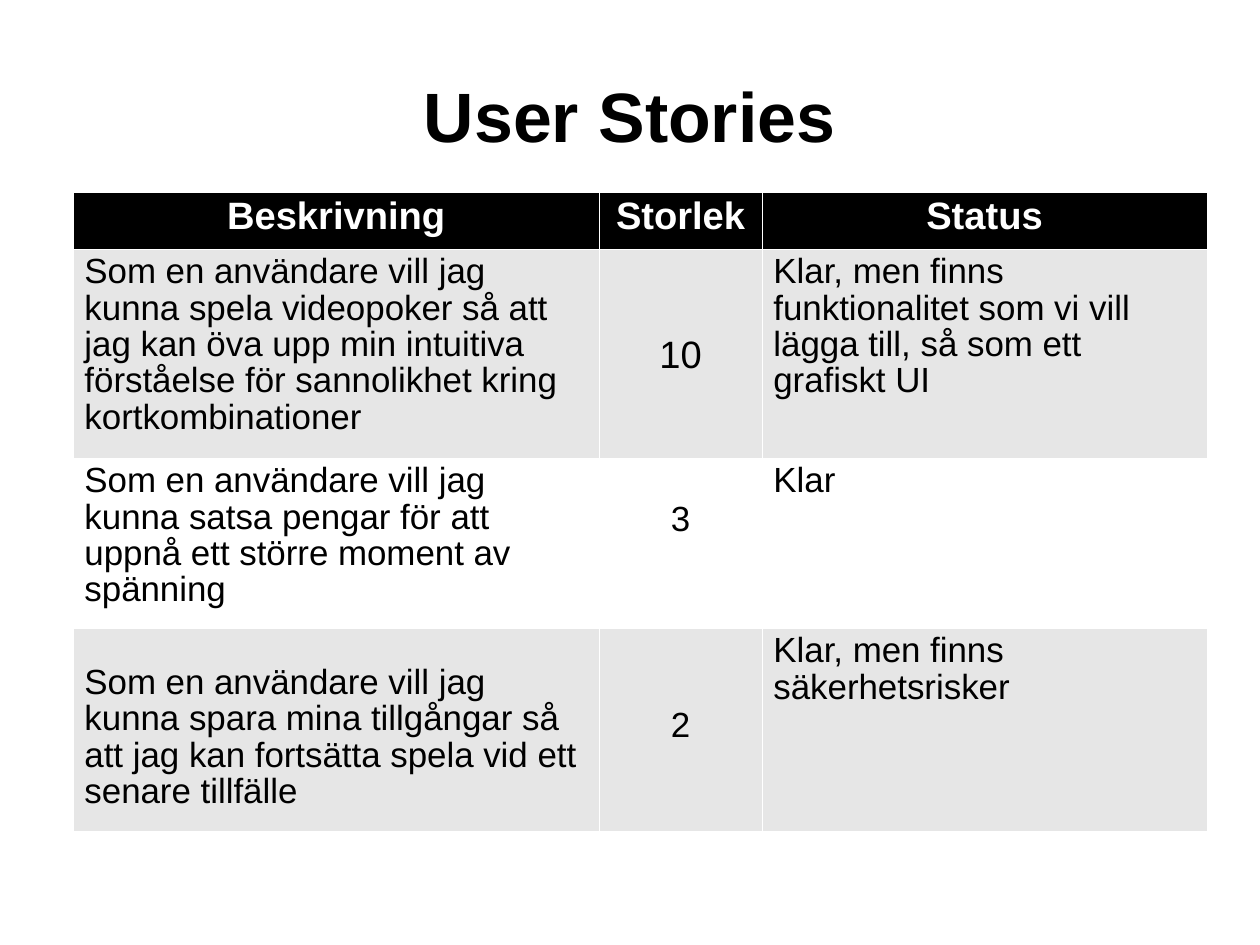
"""Build the User Stories slide with its status table."""
from dataclasses import dataclass

from lxml import etree
from pptx import Presentation
from pptx.dml.color import RGBColor
from pptx.enum.text import MSO_ANCHOR, PP_ALIGN
from pptx.oxml.ns import qn
from pptx.util import Inches, Pt

CENTER, LEFT = PP_ALIGN.CENTER, PP_ALIGN.LEFT
TOP, MIDDLE = MSO_ANCHOR.TOP, MSO_ANCHOR.MIDDLE
PAGE_WIDTH, PAGE_HEIGHT = Pt(793.75), Pt(595.25)
TITLE_ONLY = 5


@dataclass(frozen=True)
class Theme:
    """Colours, type sizes and spacing of the slide."""
    font: str = "Arial"
    black: str = "000000"
    white: str = "FFFFFF"
    band: str = "E6E6E6"
    title_size: int = 44
    header_size: int = 24
    body_size: int = 22
    line_spacing: float = 0.93
    side_inset: float = 7.09
    top_inset: float = 3.6
    border_width: float = 0.06


THEME = Theme()


@dataclass(frozen=True)
class Entry:
    """One table cell: its wording, extra space above in points, and size."""
    text: str
    drop: float = 0
    size: int = THEME.body_size


COLUMN_SHARES = (41.73, 12.95, 35.3)
ROW_SHARES = (6.05, 22.1, 18.01, 21.51)
HEADERS = ("Beskrivning", "Storlek", "Status")
STORIES = (
    (Entry("Som en användare vill jag kunna spela videopoker så att jag kan öva "
           "upp min intuitiva förståelse för sannolikhet kring kortkombinationer"),
     Entry("10", 51.5, THEME.header_size),
     Entry("Klar, men finns funktionalitet som vi vill lägga till, så som ett "
           "grafiskt UI")),
    (Entry("Som en användare vill jag kunna satsa pengar för att uppnå ett större "
           "moment av spänning"),
     Entry("3", 24.5),
     Entry("Klar")),
    (Entry("Som en användare vill jag kunna spara mina tillgångar så att jag kan "
           "fortsätta spela vid ett senare tillfälle", 20),
     Entry("2", 47),
     Entry("Klar, men finns säkerhetsrisker")),
)


def across(share):
    """Return a percentage of the page width."""
    return int(PAGE_WIDTH * share / 100)


def down(share):
    """Return a percentage of the page height."""
    return int(PAGE_HEIGHT * share / 100)


def write(frame, text, size, color, bold, align):
    """Put one formatted paragraph in a text frame."""
    frame.text = text
    para = frame.paragraphs[0]
    para.alignment = align
    para.line_spacing = THEME.line_spacing
    for span in para.runs:
        span.font.name = THEME.font
        span.font.size = Pt(size)
        span.font.bold = bold
        span.font.color.rgb = RGBColor.from_string(color)


def add_title(page, text):
    """Place and format the title placeholder."""
    title = page.shapes.title
    title.left, title.top = across(4.99), down(3.99)
    title.width, title.height = across(90), down(16.69)
    frame = title.text_frame
    frame.word_wrap = True
    frame.vertical_anchor = MIDDLE
    frame.margin_left = frame.margin_right = frame.margin_bottom = 0
    frame.margin_top = Inches(0.04)
    write(frame, text, THEME.title_size, THEME.black, True, CENTER)


def add_borders(cell):
    """Draw hairlines on the four sides of a cell."""
    properties = cell._tc.get_or_add_tcPr()
    for index, side in enumerate(("a:lnL", "a:lnR", "a:lnT", "a:lnB")):
        line = etree.Element(qn(side), w=str(int(Pt(THEME.border_width))))
        fill = etree.SubElement(line, qn("a:solidFill"))
        etree.SubElement(fill, qn("a:srgbClr"), val=THEME.white)
        properties.insert(index, line)


def fill_cell(cell, entry, fill, color, bold, align):
    """Write an entry in a cell with its fill, insets and borders."""
    cell.margin_left = cell.margin_right = Pt(THEME.side_inset)
    cell.margin_top = Pt(THEME.top_inset + entry.drop)
    cell.margin_bottom = Pt(THEME.top_inset)
    cell.vertical_anchor = TOP
    cell.fill.solid()
    cell.fill.fore_color.rgb = RGBColor.from_string(fill)
    write(cell.text_frame, entry.text, entry.size, color, bold, align)
    add_borders(cell)


def add_story_table(page, headers, stories):
    """Add the table of stories below its header row."""
    table = page.shapes.add_table(
        len(stories) + 1, len(headers), across(5.81), down(20.31),
        across(sum(COLUMN_SHARES)), down(sum(ROW_SHARES))).table
    for column, share in zip(table.columns, COLUMN_SHARES):
        column.width = across(share)
    for row, share in zip(table.rows, ROW_SHARES):
        row.height = down(share)
    for number, header in enumerate(headers):
        fill_cell(table.cell(0, number), Entry(header, size=THEME.header_size),
                  THEME.black, THEME.white, True, CENTER)
    for row, story in enumerate(stories, start=1):
        fill = THEME.band if row % 2 else THEME.white
        for number, entry in enumerate(story):
            align = CENTER if headers[number] == "Storlek" else LEFT
            fill_cell(table.cell(row, number), entry, fill, THEME.black, False, align)


def main():
    """Build and save the deck."""
    deck = Presentation()
    deck.slide_width, deck.slide_height = PAGE_WIDTH, PAGE_HEIGHT
    page = deck.slides.add_slide(deck.slide_layouts[TITLE_ONLY])
    add_title(page, "User Stories")
    add_story_table(page, HEADERS, STORIES)
    deck.save("out.pptx")


if __name__ == "__main__":
    main()
